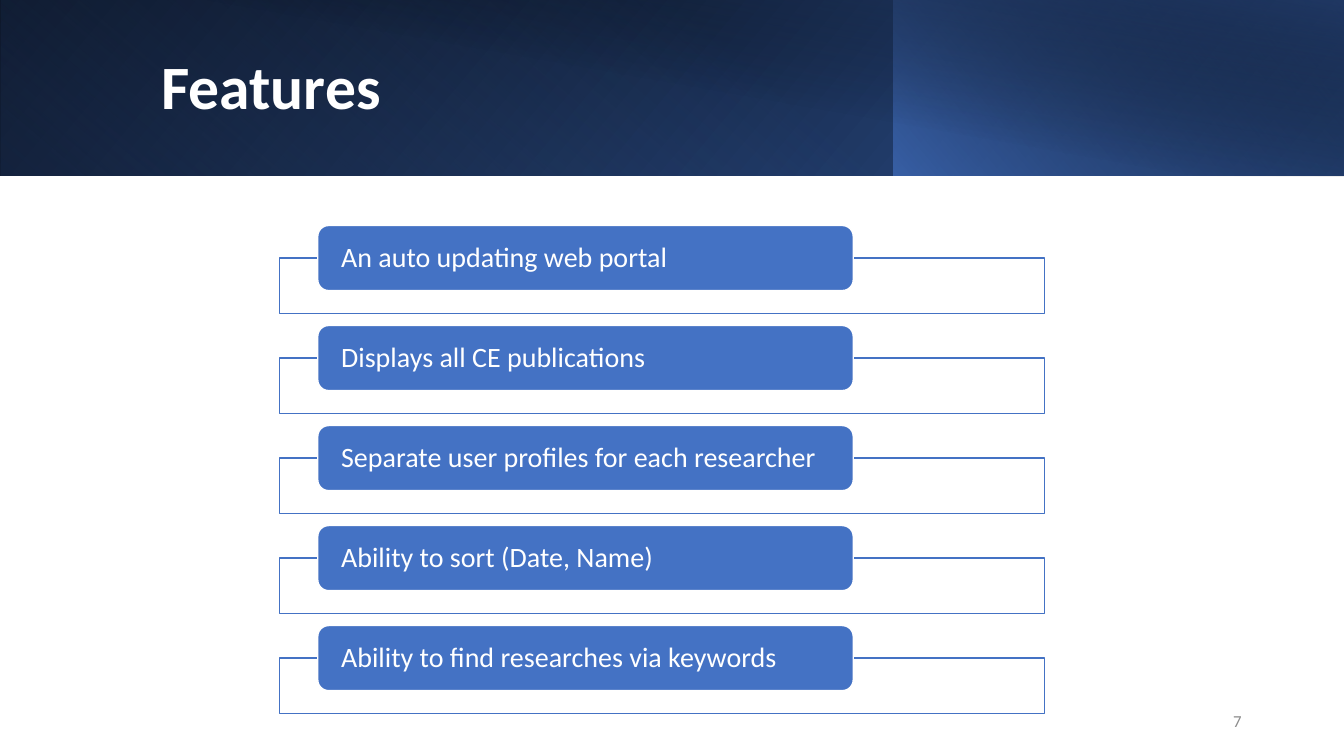
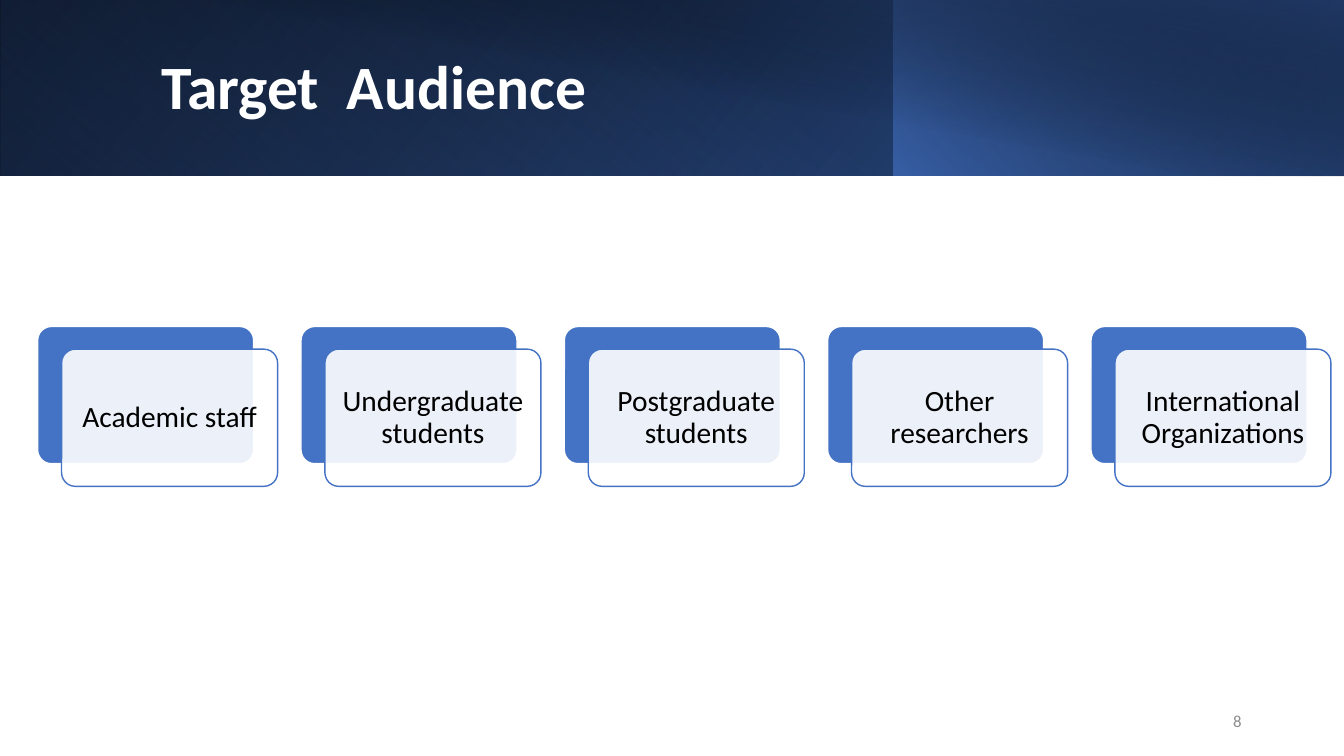
from lxml import etree
from pptx import Presentation
from pptx.dml.color import RGBColor
from pptx.enum.shapes import MSO_SHAPE
from pptx.enum.text import MSO_ANCHOR, MSO_AUTO_SIZE, PP_ALIGN
from pptx.oxml.ns import qn
from pptx.util import Pt

RECT = MSO_SHAPE.RECTANGLE
ROUNDED = MSO_SHAPE.ROUNDED_RECTANGLE
MIDDLE = MSO_ANCHOR.MIDDLE
LEFT, CENTER, RIGHT = PP_ALIGN.LEFT, PP_ALIGN.CENTER, PP_ALIGN.RIGHT

FONT = "Calibri"
WHITE = RGBColor(0xFF, 0xFF, 0xFF)
BLACK = RGBColor(0x00, 0x00, 0x00)
GRAY = RGBColor(0x8C, 0x8C, 0x8C)
BLUE = RGBColor(0x44, 0x72, 0xC4)
DEEP_BLUE = RGBColor(0x2F, 0x55, 0x97)
NAVY = RGBColor(0x20, 0x38, 0x64)

HEADER_BANDS = [
    (0, 960, 125.5, 0, True, 140, [(0, BLACK, 100), (100, DEEP_BLUE, 100)]),
    (0, 639, 125.5, 180, True, 230, [(20, BLUE, 0), (100, NAVY, 55)]),
    (638.6, 321.4, 125.5, 0, True, 220, [(0, BLUE, 66), (100, BLACK, 30)]),
    (36, 924, 126, 0, False, 280, [(50, BLACK, 0), (99, NAVY, 52)]),
]

FEATURES = [
    "An auto updating web portal",
    "Displays all CE publications",
    "Separate user profiles for each researcher",
    "Ability to sort (Date, Name)",
    "Ability to find researches via keywords",
]
FEATURE_PITCH = 71.44

AUDIENCES = [
    "Academic staff",
    "Undergraduate students",
    "Postgraduate students",
    "Other researchers",
    "International Organizations",
]
AUDIENCE_PITCH = 188.1
CARD_WIDTH, CARD_HEIGHT = 154.3, 98


def add_box(slide, kind, left, top, width, height, fill, line, opacity=100):
    box = slide.shapes.add_shape(kind, Pt(left), Pt(top), Pt(width), Pt(height))
    box.shadow.inherit = False
    box.fill.solid()
    box.fill.fore_color.rgb = fill
    box.line.color.rgb = line
    box.line.width = Pt(1)
    if opacity < 100:
        fill_color = box.element.spPr.find(qn("a:solidFill")).find(qn("a:srgbClr"))
        etree.SubElement(fill_color, qn("a:alpha"), val=str(opacity * 1000))
    return box


def write(shape, text, size, color, align, spacing=0.9, bold=False, insets=(7.2, 3.6)):
    frame = shape.text_frame
    frame.text = text
    frame.word_wrap = True
    frame.auto_size = MSO_AUTO_SIZE.NONE
    frame.vertical_anchor = MIDDLE
    frame.margin_left = frame.margin_right = Pt(insets[0])
    frame.margin_top = frame.margin_bottom = Pt(insets[1])
    paragraph = frame.paragraphs[0]
    paragraph.alignment = align
    paragraph.line_spacing = spacing
    paragraph.font.name = FONT
    paragraph.font.size = Pt(size)
    paragraph.font.bold = bold
    paragraph.font.color.rgb = color


prs = Presentation()
prs.slide_width, prs.slide_height = Pt(960), Pt(540)
title_only = prs.slide_layouts[5]

slides = []
for number, heading in [(7, "Features"), (8, "Target  Audience")]:
    slide = prs.slides.add_slide(title_only)
    slides.append(slide)
    title = slide.shapes.title
    title.left, title.top, title.width, title.height = Pt(108), Pt(23), Pt(779), Pt(81.4)
    write(title, heading, 44, WHITE, LEFT, bold=True)

    for left, width, height, rotation, flipped, angle, stops in HEADER_BANDS:
        band = add_box(slide, RECT, left, 0, width, height, BLACK, BLACK)
        band.line.fill.background()
        band.rotation = rotation
        properties = band.element.spPr
        if flipped:
            properties.find(qn("a:xfrm")).set("flipH", "1")
        gradient = etree.Element(qn("a:gradFill"), rotWithShape="1")
        stop_list = etree.SubElement(gradient, qn("a:gsLst"))
        for position, color, opacity in stops:
            stop = etree.SubElement(stop_list, qn("a:gs"), pos=str(position * 1000))
            stop_color = etree.SubElement(stop, qn("a:srgbClr"), val=str(color))
            etree.SubElement(stop_color, qn("a:alpha"), val=str(opacity * 1000))
        etree.SubElement(gradient, qn("a:lin"), ang=str(angle * 60000), scaled="0")
        properties.replace(properties.find(qn("a:solidFill")), gradient)
        title.element.addprevious(band.element)

    page_number = slide.shapes.add_textbox(Pt(678), Pt(500.5), Pt(216), Pt(28.75))
    write(page_number, str(number), 12, GRAY, RIGHT, spacing=1.0)

features_slide, audience_slide = slides

for row, feature in enumerate(FEATURES):
    offset = row * FEATURE_PITCH
    add_box(features_slide, RECT, 199.5, 184.3 + offset, 546.5, 39.7, WHITE, BLUE, 90)
    pill = add_box(features_slide, ROUNDED, 227, 161.1 + offset, 382.5, 46.5, BLUE, WHITE)
    write(pill, feature, 20, WHITE, LEFT, insets=(14.4, 0))

for column, audience in enumerate(AUDIENCES):
    left = 26.9 + column * AUDIENCE_PITCH
    back = add_box(audience_slide, ROUNDED, left, 233.2, CARD_WIDTH, CARD_HEIGHT, BLUE, WHITE)
    card = add_box(audience_slide, ROUNDED, left + 17.1, 249.4, CARD_WIDTH, CARD_HEIGHT,
                   WHITE, BLUE, 90)
    back.adjustments[0] = card.adjustments[0] = 0.1
    write(card, audience, 21, BLACK, CENTER, insets=(6.3, 6.3))

prs.save("out.pptx")
